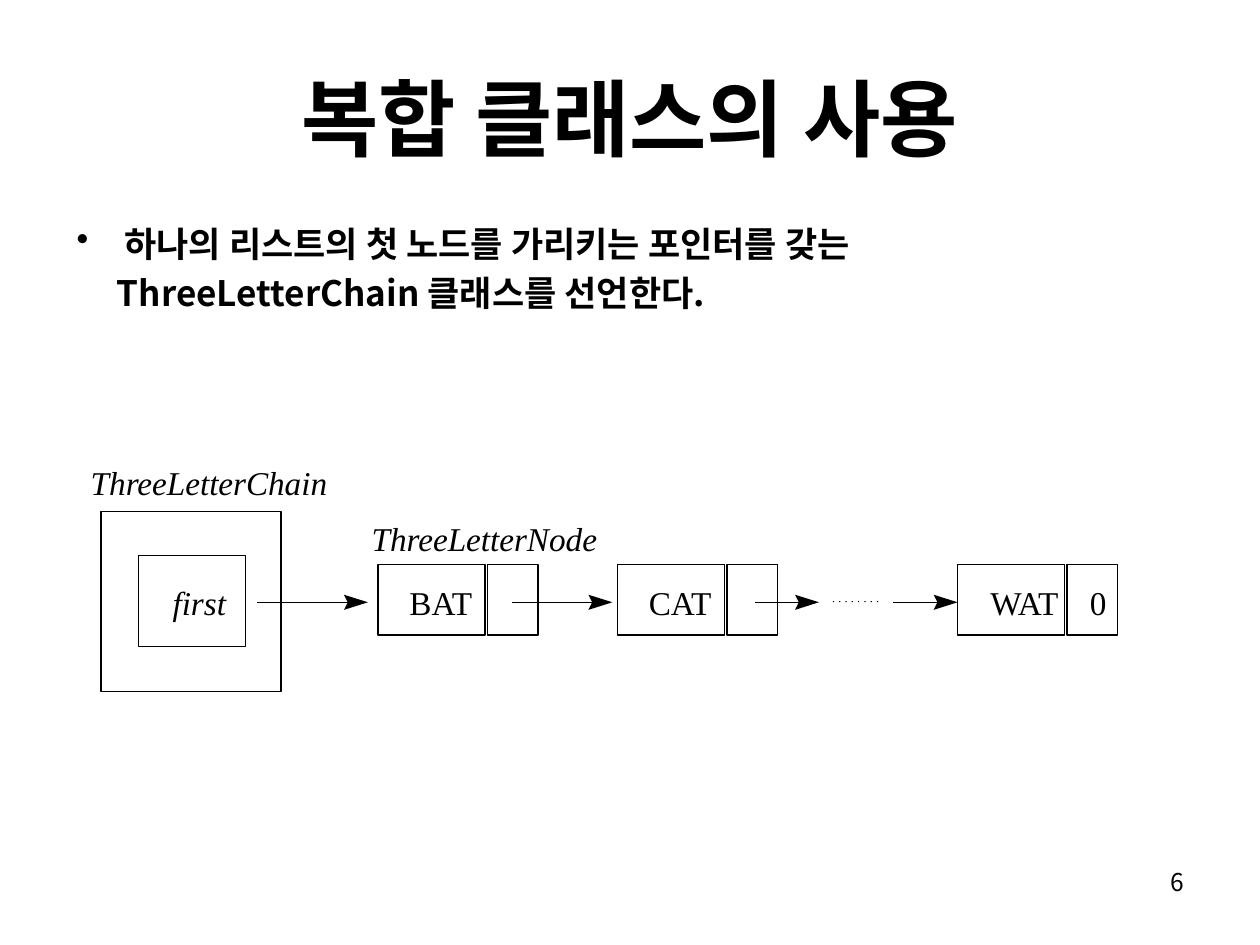
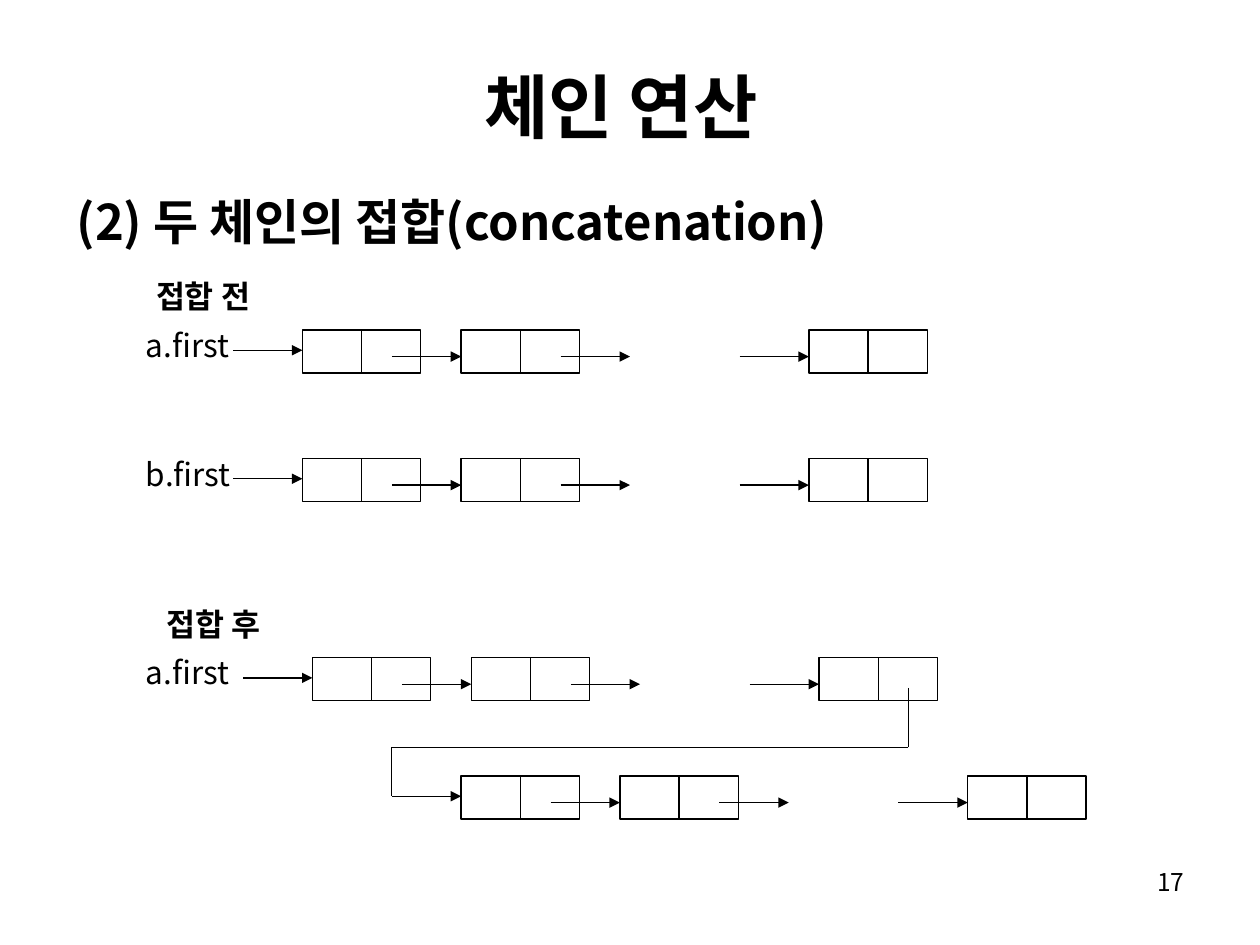
from lxml.etree import SubElement
from pptx import Presentation
from pptx.dml.color import RGBColor as Color
from pptx.enum.shapes import MSO_CONNECTOR as Connector, MSO_SHAPE as Shape
from pptx.enum.text import MSO_ANCHOR as Anchor, PP_ALIGN as Align
from pptx.oxml.ns import qn
from pptx.util import Inches, Pt

COLORS = {"ink": "000000", "paper": "FFFFFF"}
INK = Color.from_string(COLORS["ink"])
SANS = "Noto Sans CJK KR"
SERIF = "Times New Roman"


def add_text(page, area, text, size, font=SANS, bold=False, italic=False,
             align=Align.LEFT, anchor=Anchor.TOP, inset=True, wrap=True):
    box = page.shapes.add_textbox(*[Inches(value) for value in area])
    frame = box.text_frame
    frame.word_wrap = wrap
    frame.vertical_anchor = anchor
    if not inset:
        frame.margin_left = frame.margin_right = 0
        frame.margin_top = frame.margin_bottom = 0
    for index, line in enumerate(text.split("\n")):
        para = frame.paragraphs[0] if index == 0 else frame.add_paragraph()
        para.alignment = align
        span = para.add_run()
        span.text = line
        span.font.size = Pt(size)
        span.font.name = font
        span.font.bold = bold
        span.font.italic = italic
        span.font.color.rgb = INK
        SubElement(span.font._element, qn("a:ea")).set("typeface", font)
    return frame


def add_line(page, start, end, width=0.75, arrow=False):
    ends = [Inches(value) for value in (*start, *end)]
    line = page.shapes.add_connector(Connector.STRAIGHT, *ends)
    line.line.color.rgb = INK
    line.line.width = Pt(width)
    if arrow:
        SubElement(line.line._get_or_add_ln(), qn("a:tailEnd")).set("type", "triangle")
    SubElement(line._element.spPr, qn("a:effectLst"))


deck = Presentation()
deck.slide_width = Inches(10)
deck.slide_height = Inches(7.5)

pages = []
for title, size, left, top, number in [
    ("복합 클래스의 사용", 48, 0.5, 0.3, "6"),
    ("체인 연산", 40, 0.43, 0.21, "17"),
]:
    page = deck.slides.add_slide(deck.slide_layouts[6])
    page.background.fill.solid()
    page.background.fill.fore_color.rgb = Color.from_string(COLORS["paper"])
    add_text(page, (7.17, 6.83, 2.33, 0.52), number, 14, align=Align.RIGHT)
    add_text(page, (left, top, 9, 1.25), title, size, bold=True,
             align=Align.CENTER, anchor=Anchor.MIDDLE)
    pages.append(page)
class_page, chain_page = pages

body = add_text(class_page, (0.51, 1.78, 8.99, 4.24),
                "하나의 리스트의 첫 노드를 가리키는 포인터를 갖는\n"
                "ThreeLetterChain 클래스를 선언한다.", 20, bold=True)
bullet_para, second_para = body.paragraphs
for para in body.paragraphs:
    para.line_spacing = 0.8
second_para.space_before = Pt(9)
bullet_props = bullet_para._p.get_or_add_pPr()
bullet_props.set("marL", str(Inches(0.38)))
bullet_props.set("indent", str(-Inches(0.38)))
SubElement(bullet_props, qn("a:buChar")).set("char", "•")
second_para._p.get_or_add_pPr().set("marL", str(Inches(0.32)))

node_lefts = [3, 4.9, 7.6]
frames = [(0.8, 4.06, 1.43, 1.43), (1.1, 4.41, 0.85, 0.72)]
for left in node_lefts:
    frames += [(left, 4.48, 0.85, 0.56), (left + 0.87, 4.48, 0.4, 0.56)]
for area in frames:
    frame_box = class_page.shapes.add_shape(
        Shape.RECTANGLE, *[Inches(value) for value in area])
    frame_box.shadow.inherit = False
    frame_box.fill.background()
    frame_box.line.color.rgb = INK
    frame_box.line.width = Pt(0.88)

for text, left, top, width, italic in [
    ("ThreeLetterChain", 0.72, 3.67, 1.89, True),
    ("ThreeLetterNode", 2.95, 4.11, 1.8, True),
    ("first", 1.37, 4.62, 0.43, True),
    ("BAT", 3.25, 4.62, 0.53, False),
    ("CAT", 5.15, 4.62, 0.53, False),
    ("WAT", 7.86, 4.62, 0.6, False),
    ("0", 8.65, 4.62, 0.13, False),
]:
    add_text(class_page, (left, top, width, 0.32), text, 19, font=SERIF,
             italic=italic, inset=False, wrap=False)

link_y = 4.78
for start, tip in [(2.04, 2.92), (4.06, 4.86), (5.99, 6.5), (7.09, 7.6)]:
    add_line(class_page, (start, link_y), (tip - 0.14, link_y), 0.88)
    back = tip - 0.19
    outline = [(back, link_y + 0.06), (tip - 0.16, link_y),
               (back, link_y - 0.06), (tip, link_y)]
    points = [(Inches(x), Inches(y)) for x, y in outline]
    builder = class_page.shapes.build_freeform(*points[0], scale=1.0)
    builder.add_line_segments(points[1:], close=True)
    head = builder.convert_to_shape()
    head.shadow.inherit = False
    head.fill.solid()
    head.fill.fore_color.rgb = INK
    head.line.fill.background()

for index in range(8):
    dot = class_page.shapes.add_shape(
        Shape.RECTANGLE, Inches(6.61 + 0.05 * index), Inches(4.77),
        Inches(0.01), Inches(0.01))
    dot.shadow.inherit = False
    dot.fill.solid()
    dot.fill.fore_color.rgb = INK
    dot.line.fill.background()

add_text(chain_page, (0.51, 1.47, 9, 0.7), "(2) 두 체인의 접합(concatenation)",
         28, bold=True)
for text, left, top in [("접합 전", 1.14, 2.15), ("접합 후", 1.22, 4.75)]:
    add_text(chain_page, (left, top, 1.34, 0.4), text, 18, bold=True)
for text, top in [("a.first", 2.54), ("b.first", 3.56), ("a.first", 5.13)]:
    add_text(chain_page, (1.06, top, 0.95, 0.4), text, 18)

node_width, node_height, arrow_length = 0.94, 0.34, 0.55
for left, top in [(2.4, 2.62), (2.4, 3.64), (2.48, 5.22), (3.66, 6.16)]:
    for offset in (0, 1.26, 4.02):
        node = chain_page.shapes.add_shape(
            Shape.RECTANGLE, Inches(left + offset), Inches(top),
            Inches(node_width), Inches(node_height))
        node.shadow.inherit = False
        node.fill.background()
        node.line.color.rgb = INK
        node.line.width = Pt(0.75)
        middle = left + offset + node_width / 2
        add_line(chain_page, (middle, top), (middle, top + node_height))
    for offset, drop in [(-0.55, 0.16), (0.71, 0.21), (2.05, 0.21), (3.47, 0.21)]:
        start, y = left + offset, top + drop
        add_line(chain_page, (start, y), (start + arrow_length, y), arrow=True)

joint = [(7.21, 5.46), (7.21, 5.93), (3.11, 5.93), (3.11, 6.32)]
for start, end in zip(joint, joint[1:]):
    add_line(chain_page, start, end)

deck.save("out.pptx")
